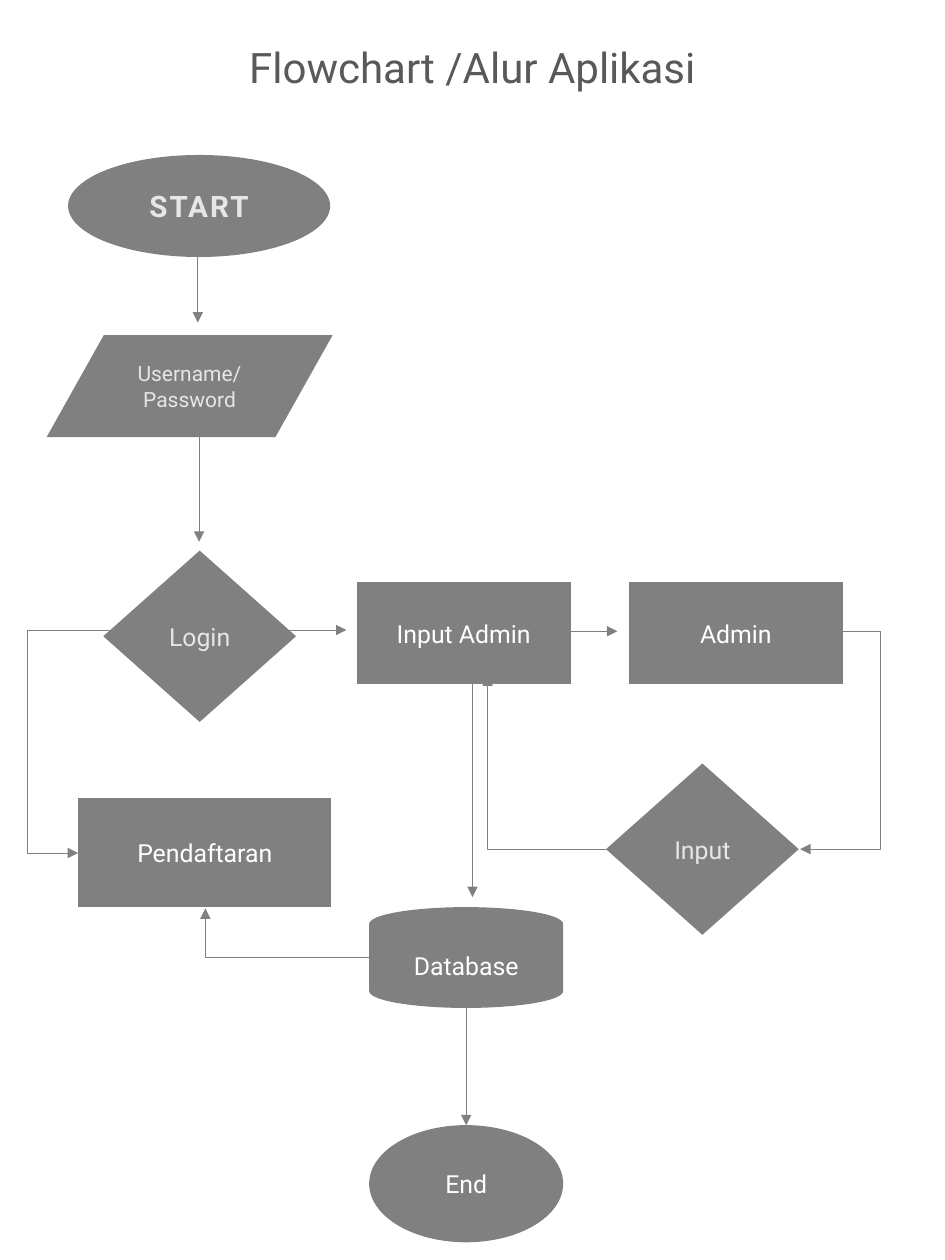
from lxml import etree
from pptx import Presentation
from pptx.dml.color import RGBColor
from pptx.enum.shapes import MSO_CONNECTOR, MSO_SHAPE
from pptx.enum.text import MSO_ANCHOR, PP_ALIGN
from pptx.oxml.ns import qn
from pptx.util import Inches, Pt

TERMINAL = MSO_SHAPE.FLOWCHART_CONNECTOR
DATA = MSO_SHAPE.FLOWCHART_DATA
DECISION = MSO_SHAPE.FLOWCHART_DECISION
PROCESS = MSO_SHAPE.FLOWCHART_PROCESS
DISK = MSO_SHAPE.FLOWCHART_MAGNETIC_DISK
STRAIGHT, ELBOW = MSO_CONNECTOR.STRAIGHT, MSO_CONNECTOR.ELBOW
CENTER, MIDDLE = PP_ALIGN.CENTER, MSO_ANCHOR.MIDDLE
GREY, PALE, WHITE, TITLE_GREY = "808080", "E7E6E6", "FFFFFF", "595959"

deck = Presentation()
deck.slide_width, deck.slide_height = Inches(7.5), Inches(10)
page = deck.slides.add_slide(deck.slide_layouts[5])

# Grid of 75 columns by 100 rows
COLUMN, ROW = deck.slide_width / 75, deck.slide_height / 100


def grid(*lengths):
    """Turn alternating columns and rows into slide lengths."""
    return [round(n * (ROW if i % 2 else COLUMN)) for i, n in enumerate(lengths)]


def write(shape, text, size, color):
    """Write one centred line of text."""
    frame = shape.text_frame
    frame.word_wrap, frame.vertical_anchor = True, MIDDLE
    para = frame.paragraphs[0]
    para.text, para.alignment = text, CENTER
    para.font.name, para.font.size = "Roboto", Pt(size)
    para.font.color.rgb = RGBColor.from_string(color)
    return frame


# Title
title = page.shapes.title
title.left, title.top, title.width, title.height = grid(0, 2.8, 75, 5)
write(title, "Flowchart /Alur Aplikasi", 24, TITLE_GREY)

# Steps: shape, left, top, width, height, text, size, colour
steps = [
    (TERMINAL, 5.4, 12.3, 20.8, 8.1, "START", 16.9, PALE),
    (DATA, 3.7, 26.6, 22.7, 8.1, "Username/Password", 12, PALE),
    (DECISION, 8.2, 43.7, 15.3, 13.6, "Login", 14.2, PALE),
    (PROCESS, 6.2, 63.3, 20.1, 8.7, "Pendaftaran", 14.2, WHITE),
    (PROCESS, 28.3, 46.2, 17, 8.1, "Input Admin", 14.2, WHITE),
    (PROCESS, 49.9, 46.2, 17, 8.1, "Admin", 14.2, WHITE),
    (DECISION, 48.1, 60.6, 15.3, 13.6, "Input", 14.2, PALE),
    (DISK, 29.3, 72, 15.4, 8, "Database", 14.2, WHITE),
    (TERMINAL, 29.3, 89.3, 15.4, 9.3, "End", 14.2, WHITE),
]
for kind, left, top, width, height, text, size, color in steps:
    step = page.shapes.add_shape(kind, *grid(left, top, width, height))
    step.shadow.inherit = False
    step.fill.solid()
    step.fill.fore_color.rgb = RGBColor.from_string(GREY)
    step.line.fill.background()
    frame = write(step, text, size, color)
    if text in ("START", "Username/Password"):
        frame.margin_left = frame.margin_right = Inches(0.24)
        frame.margin_top = frame.margin_bottom = Inches(0.12)
    if text == "START":
        span = frame.paragraphs[0].runs[0]
        span.font.bold = True
        span.font._element.set("spc", "120")

# Straight lines: from, to, arrowhead
links = []
for x1, y1, x2, y2, arrow in [
    (15.7, 19.3, 15.7, 25.6, True),
    (15.8, 33.3, 15.8, 43, True),
    (21.2, 50, 27.5, 50, True),
    (42.8, 50.1, 49, 50.1, True),
    (37.5, 53.6, 37.5, 71.2, True),
    (37, 80, 37, 89.3, True),
    (66.2, 50.1, 69.9, 50.1, False),
    (2.2, 50, 10.7, 50, False),
]:
    links.append((page.shapes.add_connector(STRAIGHT, *grid(x1, y1, x2, y2)), arrow))

# Bent lines: from, to, quarter turns, mirrored
for x1, y1, x2, y2, turns, mirrored in [
    (2.2, 50, 6.2, 67.7, 3, True),
    (29.3, 76, 16.3, 72.1, 2, False),
    (48.1, 67.4, 38.7, 53.6, 2, False),
    (69.9, 50.1, 63.5, 67.4, 1, False),
]:
    width, height = abs(x2 - x1), abs(y2 - y1)
    if turns % 2:
        width, height = height, width
    left, top = (x1 + x2 - width) / 2, (y1 + y2 - height) / 2
    link = page.shapes.add_connector(ELBOW, *grid(left, top, left + width, top + height))
    frame = link._element.spPr.find(qn("a:xfrm"))
    frame.set("rot", str(turns * 90 * 60000))
    if mirrored:
        frame.set("flipH", "1")
    link._element.spPr.find(qn("a:prstGeom")).set("prst", "bentConnector2")
    links.append((link, True))

# Line style
for link, arrow in links:
    link.line.width = Pt(0.5)
    link.line.color.rgb = RGBColor.from_string(GREY)
    if arrow:
        etree.SubElement(link.line._get_or_add_ln(), qn("a:tailEnd"), type="triangle")
    etree.SubElement(link._element.spPr, qn("a:effectLst"))

deck.save("out.pptx")
